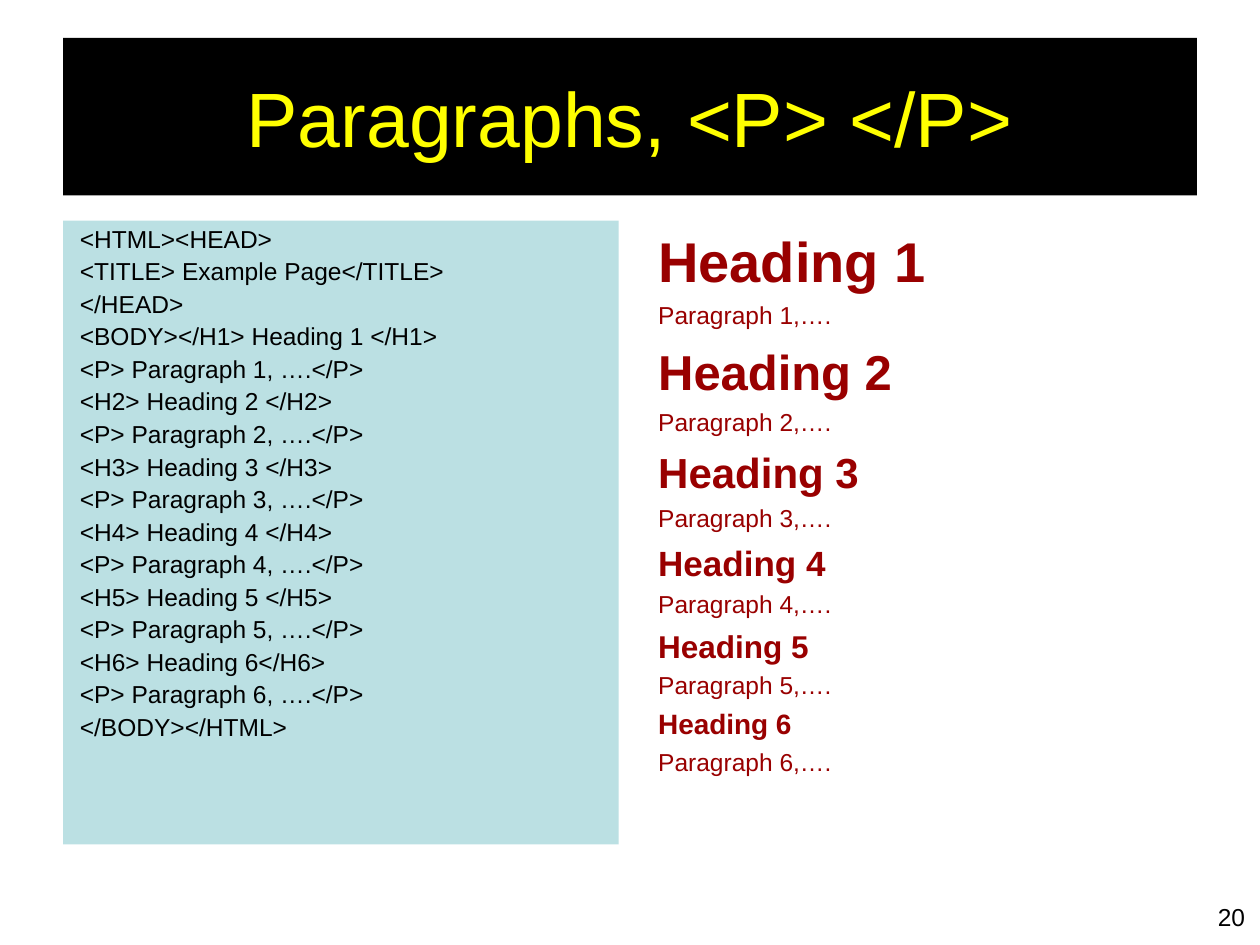
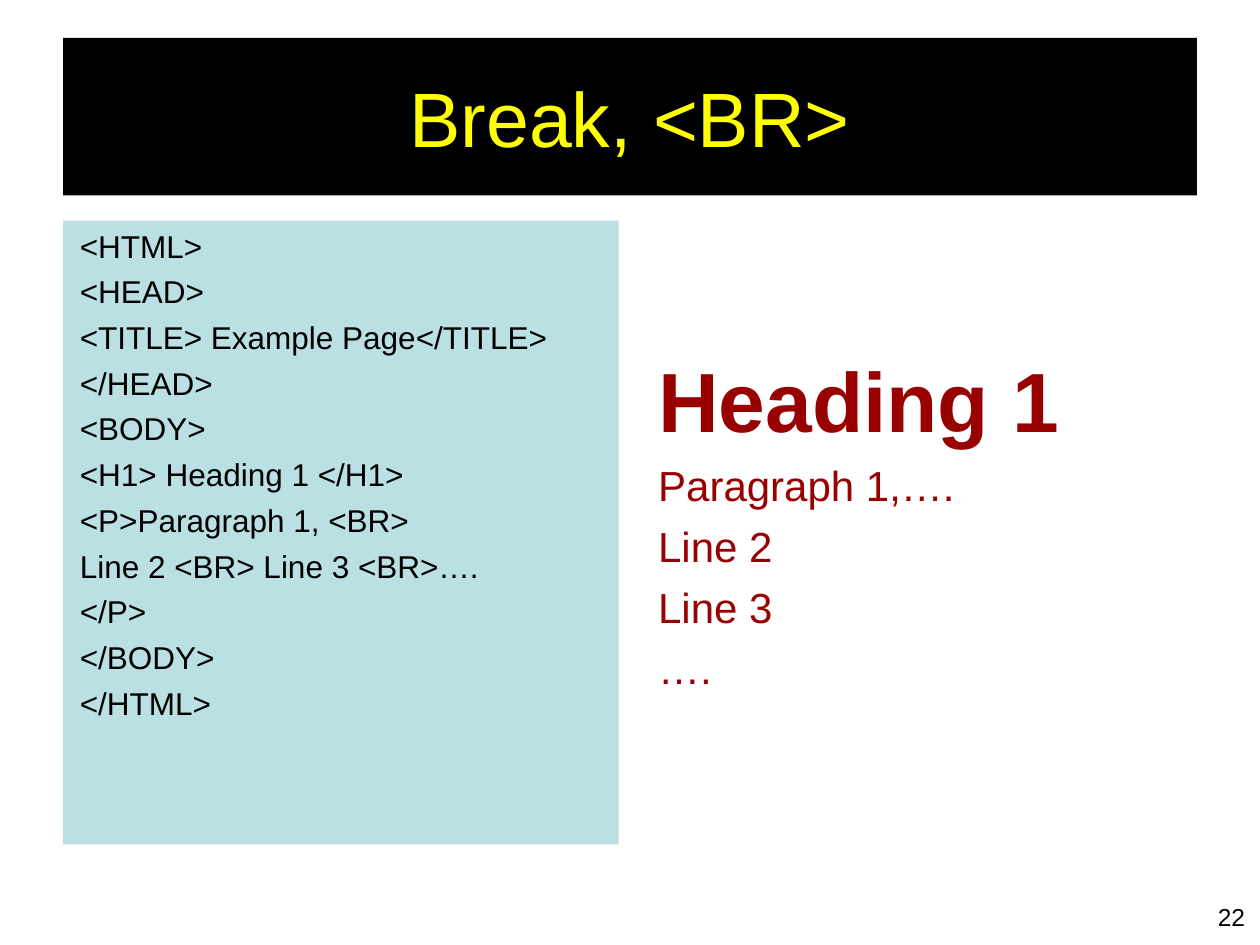
from pptx import Presentation
from pptx.dml.color import RGBColor
from pptx.enum.shapes import MSO_SHAPE
from pptx.enum.text import MSO_ANCHOR, PP_ALIGN
from pptx.util import Pt

BLACK = RGBColor(0x00, 0x00, 0x00)
YELLOW = RGBColor(0xFF, 0xFF, 0x00)
PALE_BLUE = RGBColor(0xBB, 0xE0, 0xE3)
DARK_RED = RGBColor(0x99, 0x00, 0x00)
FONT = "Arial"
LEFT, PANEL_TOP, PANEL_WIDTH, PANEL_HEIGHT = 36, 126, 317.5, 356.5
RESULT_LEFT = 366.5

# Each slide: code lines in one size, result lines as (text, size, bold)
SLIDES = [
    {
        "title": "Paragraphs, <P> </P>",
        "number": "20",
        "code_size": 14,
        "code_spacing": 0.9,
        "code": [
            "<HTML><HEAD>",
            "<TITLE> Example Page</TITLE>",
            "</HEAD>",
            "<BODY></H1> Heading 1 </H1>",
            "<P> Paragraph 1, ….</P>",
            "<H2> Heading 2 </H2>",
            "<P> Paragraph 2, ….</P>",
            "<H3> Heading 3 </H3>",
            "<P> Paragraph 3, ….</P>",
            "<H4> Heading 4 </H4>",
            "<P> Paragraph 4, ….</P>",
            "<H5> Heading 5 </H5>",
            "<P> Paragraph 5, ….</P>",
            "<H6> Heading 6</H6>",
            "<P> Paragraph 6, ….</P>",
            "</BODY></HTML>",
        ],
        "result_inset": 3.6,
        "result": [
            line
            for level, size in enumerate([32, 28, 24, 20, 18, 16], start=1)
            for line in [(f"Heading {level}", size, True),
                         (f"Paragraph {level},….", 14, False)]
        ],
    },
    {
        "title": "Break, <BR>",
        "number": "22",
        "code_size": 18,
        "code_spacing": 1,
        "code": [
            "<HTML>",
            "<HEAD>",
            "<TITLE> Example Page</TITLE>",
            "</HEAD>",
            "<BODY>",
            "<H1> Heading 1 </H1>",
            "<P>Paragraph 1, <BR>",
            "Line 2 <BR> Line 3 <BR>….",
            "</P>",
            "</BODY>",
            "</HTML>",
        ],
        "result_inset": 73.2,
        "result": [
            ("Heading 1", 48, True),
            ("Paragraph 1,….", 24, False),
            ("Line 2", 24, False),
            ("Line 3", 24, False),
            ("….", 24, False),
        ],
    },
]


def set_font(paragraph, size, color, bold=False):
    paragraph.font.name = FONT
    paragraph.font.size = Pt(size)
    paragraph.font.bold = bold
    paragraph.font.color.rgb = color


def fill_panel(shape, lines, color, spacing=1):
    """Write (text, size, bold) lines with a hanging indent, spaced by size."""
    frame = shape.text_frame
    frame.word_wrap = True
    frame.vertical_anchor = MSO_ANCHOR.TOP
    for index, (text, size, bold) in enumerate(lines):
        paragraph = frame.paragraphs[0] if index == 0 else frame.add_paragraph()
        paragraph.text = text
        paragraph.alignment = PP_ALIGN.LEFT
        paragraph.line_spacing = Pt(1.2 * size * spacing)
        if index > 0:
            paragraph.space_before = Pt(size / 4)
        properties = paragraph._p.get_or_add_pPr()
        properties.set("marL", str(Pt(27)))
        properties.set("indent", str(Pt(-24.5)))
        set_font(paragraph, size, color, bold)


presentation = Presentation()
presentation.slide_width = Pt(720)
presentation.slide_height = Pt(540)
title_only = presentation.slide_layouts[5]

for content in SLIDES:
    slide = presentation.slides.add_slide(title_only)

    # Title band
    title = slide.shapes.title
    title.left, title.top, title.width, title.height = Pt(LEFT), Pt(21.6), Pt(648), Pt(90)
    title.fill.solid()
    title.fill.fore_color.rgb = BLACK
    title.text_frame.text = content["title"]
    title.text_frame.vertical_anchor = MSO_ANCHOR.MIDDLE
    title.text_frame.paragraphs[0].alignment = PP_ALIGN.CENTER
    set_font(title.text_frame.paragraphs[0], 44, YELLOW)

    # Code panel
    code_panel = slide.shapes.add_shape(
        MSO_SHAPE.RECTANGLE, Pt(LEFT), Pt(PANEL_TOP), Pt(PANEL_WIDTH), Pt(PANEL_HEIGHT))
    code_panel.shadow.inherit = False
    code_panel.fill.solid()
    code_panel.fill.fore_color.rgb = PALE_BLUE
    code_panel.line.fill.background()
    code_lines = [(text, content["code_size"], False) for text in content["code"]]
    fill_panel(code_panel, code_lines, BLACK, content["code_spacing"])

    # Rendered result
    result_box = slide.shapes.add_textbox(
        Pt(RESULT_LEFT), Pt(PANEL_TOP), Pt(PANEL_WIDTH), Pt(PANEL_HEIGHT))
    result_box.text_frame.margin_top = Pt(content["result_inset"])
    fill_panel(result_box, content["result"], DARK_RED)

    # Slide number
    number_box = slide.shapes.add_textbox(Pt(553), Pt(512), Pt(165.6), Pt(35.3))
    number_box.text_frame.word_wrap = True
    number_box.text_frame.text = content["number"]
    number_box.text_frame.paragraphs[0].alignment = PP_ALIGN.RIGHT
    set_font(number_box.text_frame.paragraphs[0], 14, BLACK)

presentation.save("out.pptx")
